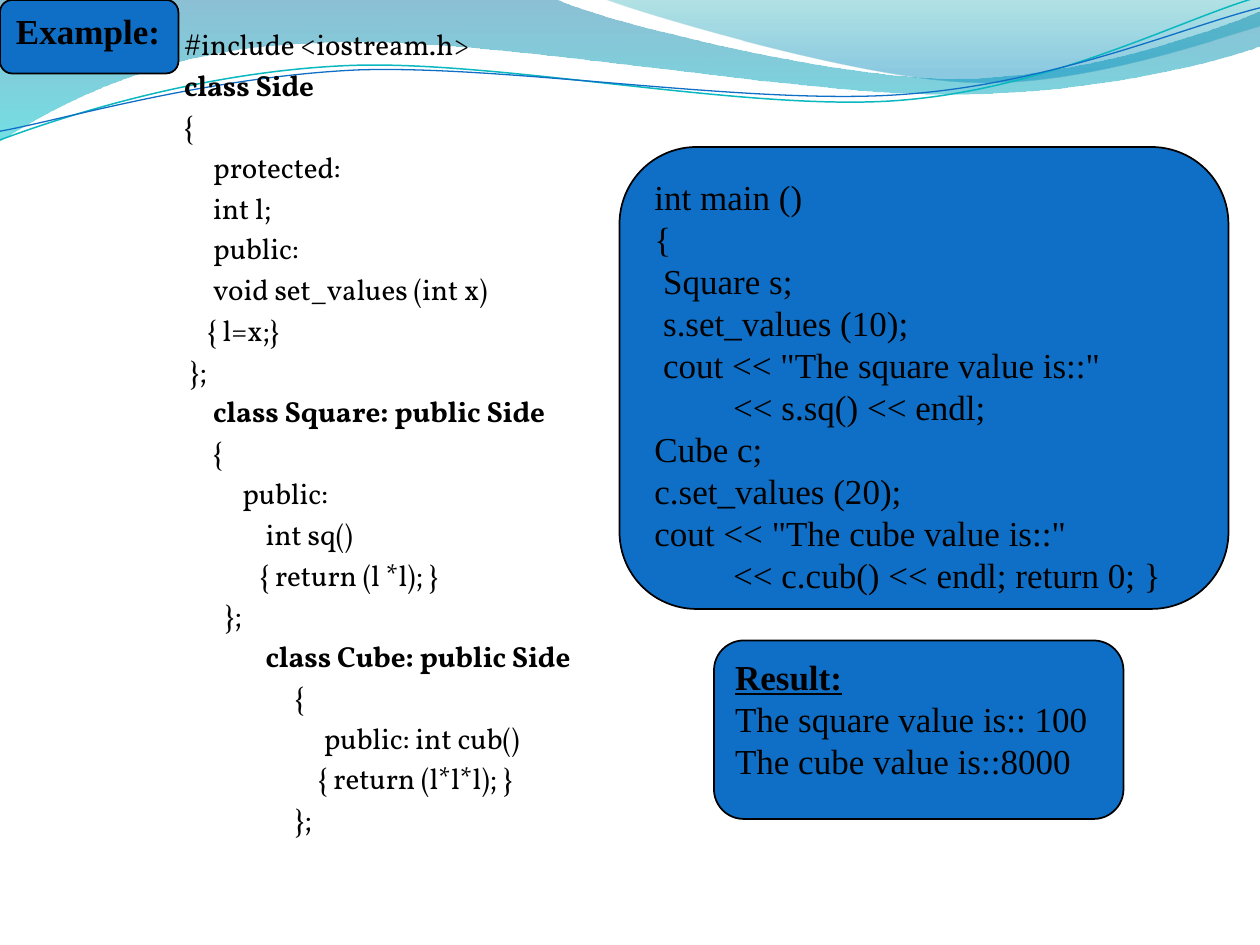
from dataclasses import dataclass
from math import cos, radians, sin

from lxml.etree import SubElement
from pptx import Presentation
from pptx.dml.color import RGBColor
from pptx.enum.shapes import MSO_SHAPE
from pptx.enum.text import MSO_ANCHOR, MSO_AUTO_SIZE, PP_ALIGN
from pptx.oxml.ns import qn
from pptx.util import Pt


@dataclass(frozen=True)
class Theme:
    ink: str = "000000"
    panel: str = "0F6FC6"
    code_font: str = "Vollkorn"
    panel_font: str = "Times New Roman"
    code_size: float = 16.6
    panel_size: float = 20
    code_leading: float = 23.3
    panel_leading: float = 24
    code_column: float = 3.33
    panel_column: float = 5
    broad_stops: tuple = ((0, "0074A1", 45), (1, "00C6CF", 55))
    narrow_stops: tuple = ((0, "00A1A9", 30), (0.8, "008BBF", 45))
    teal_line: str = "0AB8BF"
    blue_line: str = "0F6FC6"


@dataclass(frozen=True)
class Box:
    left: float
    top: float
    width: float
    height: float


@dataclass(frozen=True)
class Line:
    text: str
    column: int = 0
    bold: bool = False
    underline: bool = False
    same_paragraph: bool = False


THEME = Theme()
CURVE_TILT = 2.7

BROAD_WAVE = [
    (0, 0), (317, -0.7),
    (343, 12, 478, 45, 546, 45), (614, 45, 690, 19, 720, 6.5),
    (720.7, 26),
    (708, 32, 626, 55, 537, 54), (448, 54, 275, 20, 185, 24.5),
    (93, 26, 33, 60, -0.7, 81), (0, 0),
]
NARROW_WAVE = [
    (345, -0.7),
    (367, 8, 491, 45, 554, 47), (616, 50, 692, 23, 720, 15),
    (720, 0), (345, -0.7),
]
TEAL_CURVE = [
    (0, 80),
    (35, 67, 114, 41, 199, 37.5), (284, 34, 427, 64, 513, 57.5),
    (600, 51, 675, 11, 718.5, -1.5),
]
BLUE_CURVE = [
    (0, 75),
    (34, 69, 118, 44, 204, 40), (290, 37, 430, 60.5, 516, 54),
    (602, 48, 677.5, 15, 720, 4.5),
]

CLASS_LINES = [
    Line("#include <iostream.h>", 6),
    Line("class Side", 6, bold=True),
    Line("{", 6),
    Line("protected:", 11),
    Line("int l;", 11),
    Line("public:", 11),
    Line("void set_values (int x)", 11),
    Line("{ l=x;}", 10),
    Line("};", 7),
    Line("class Square: public Side", 11, bold=True),
    Line("{", 11),
    Line("public:", 16),
    Line("int sq()", 20),
    Line("{ return (l *l); }", 19),
    Line("};", 13),
    Line("class Cube: public Side", 20, bold=True),
    Line("{", 25),
    Line("public: int cub()", 30),
    Line("{ return (l*l*l); }", 29),
    Line("};", 25),
]
MAIN_LINES = [
    Line("int main ()"),
    Line("{"),
    Line("Square s;", 1),
    Line("s.set_values (10);", 1),
    Line('cout << "The square value is::"', 1),
    Line("<< s.sq() << endl;", 9),
    Line("Cube c;"),
    Line("c.set_values (20);"),
    Line('cout << "The cube value is::"'),
    Line("<< c.cub() << endl; return 0; }", 9),
]
RESULT_LINES = [
    Line("Result:", bold=True, underline=True),
    Line("The square value is:: 100", same_paragraph=True),
    Line("The cube value is::8000"),
]


def color(value):
    return RGBColor.from_string(value)


def turn(point, center, degrees):
    angle = radians(degrees)
    x, y = point[0] - center[0], point[1] - center[1]
    return (center[0] + x * cos(angle) - y * sin(angle),
            center[1] + x * sin(angle) + y * cos(angle))


def add_outline(page, box, outline, close, tilt=0):
    center = (box.width / 2, box.height / 2)
    points = [turn(part[at:at + 2], center, tilt)
              for part in outline for at in range(0, len(part), 2)]
    placed = [(Pt(box.left + x), Pt(box.top + y)) for x, y in points]
    builder = page.shapes.build_freeform(*placed[0])
    builder.add_line_segments(placed[1:], close=close)
    shape = builder.convert_to_shape()
    shape.shadow.inherit = False
    shape.rotation = -tilt % 360
    segments = iter(list(shape.element.iter(qn("a:lnTo"))))
    for part in outline[1:]:
        segment = next(segments)
        if len(part) == 6:
            segment.tag = qn("a:cubicBezTo")
            for _ in range(2):
                follower = next(segments)
                segment.append(follower[0])
                follower.getparent().remove(follower)
    return shape


def add_wave(page, box, outline, stops):
    wave = add_outline(page, box, outline, True)
    wave.line.fill.background()
    wave.fill.gradient()
    wave.fill.gradient_angle = 270
    for stop, (position, value, _) in zip(wave.fill.gradient_stops, stops):
        stop.position = position
        stop.color.rgb = color(value)
    for node, (_, _, opacity) in zip(wave.element.iter(qn("a:srgbClr")), stops):
        SubElement(node, qn("a:alpha"), val=str(opacity * 1000))


def add_curve(page, box, outline, value, width):
    curve = add_outline(page, box, outline, False, CURVE_TILT)
    curve.fill.background()
    curve.line.color.rgb = color(value)
    curve.line.width = Pt(width)


def add_header(page, box):
    add_wave(page, box, BROAD_WAVE, THEME.broad_stops)
    add_wave(page, box, NARROW_WAVE, THEME.narrow_stops)
    add_curve(page, box, TEAL_CURVE, THEME.teal_line, 0.85)
    add_curve(page, box, BLUE_CURVE, THEME.blue_line, 0.75)


def format_para(para, indent, leading):
    para.alignment = PP_ALIGN.LEFT
    para.line_spacing = Pt(leading)
    para.space_before = Pt(0)
    properties = para._p.get_or_add_pPr()
    properties.set("marL", str(Pt(indent)))
    properties.set("indent", "0")
    SubElement(properties, qn("a:buNone"))


def write_lines(frame, lines, font, size, leading, column):
    frame.word_wrap = True
    frame.auto_size = MSO_AUTO_SIZE.NONE
    frame.vertical_anchor = MSO_ANCHOR.TOP
    for index, line in enumerate(lines):
        if line.same_paragraph:
            para.add_line_break()
        else:
            para = frame.add_paragraph() if index else frame.paragraphs[0]
            format_para(para, line.column * column, leading)
        span = para.add_run()
        span.text = line.text
        span.font.name = font
        span.font.size = Pt(size)
        span.font.bold = line.bold
        span.font.underline = line.underline
        span.font.color.rgb = color(THEME.ink)


def add_class_listing(page, box):
    body = page.placeholders[1]
    page.shapes.element.append(body.element)
    body.left, body.top = Pt(box.left), Pt(box.top)
    body.width, body.height = Pt(box.width), Pt(box.height)
    body.text_frame.margin_top = Pt(0)
    write_lines(body.text_frame, CLASS_LINES, THEME.code_font, THEME.code_size,
                THEME.code_leading, THEME.code_column)


def add_panel(page, box, lines):
    panel = page.shapes.add_shape(MSO_SHAPE.ROUNDED_RECTANGLE, Pt(box.left),
                                  Pt(box.top), Pt(box.width), Pt(box.height))
    panel.shadow.inherit = False
    panel.fill.solid()
    panel.fill.fore_color.rgb = color(THEME.panel)
    panel.line.color.rgb = color(THEME.ink)
    panel.line.width = Pt(1)
    write_lines(panel.text_frame, lines, THEME.panel_font, THEME.panel_size,
                THEME.panel_leading, THEME.panel_column)


def main():
    deck = Presentation()
    deck.slide_width, deck.slide_height = Pt(720), Pt(540)
    page = deck.slides.add_slide(deck.slide_layouts[1])
    page.shapes.element.remove(page.shapes.title.element)
    add_header(page, Box(0, 0, 720, 82))
    add_class_listing(page, Box(78, 12, 612, 456))
    add_panel(page, Box(0, 0, 102, 42), [Line("Example:", bold=True)])
    add_panel(page, Box(354, 84, 348, 264), MAIN_LINES)
    add_panel(page, Box(408, 366, 234, 102), RESULT_LINES)
    deck.save("out.pptx")


if __name__ == "__main__":
    main()
